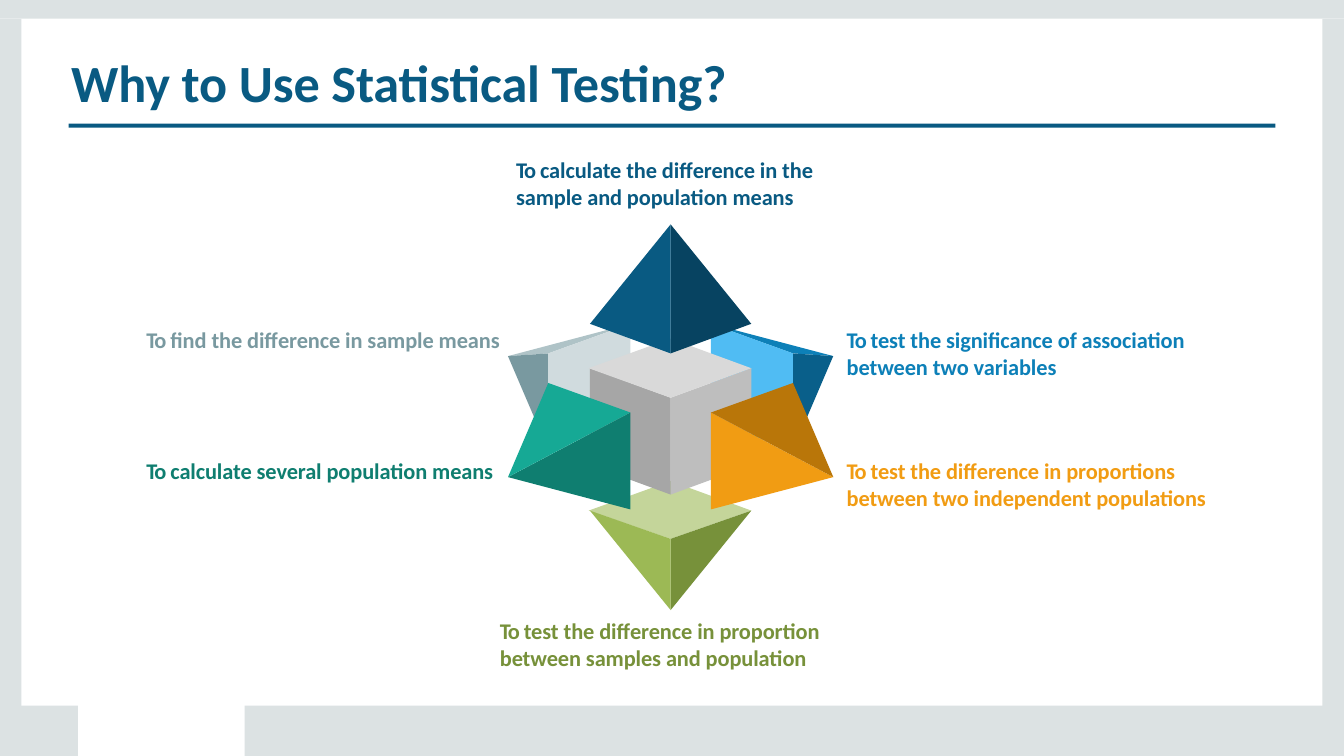
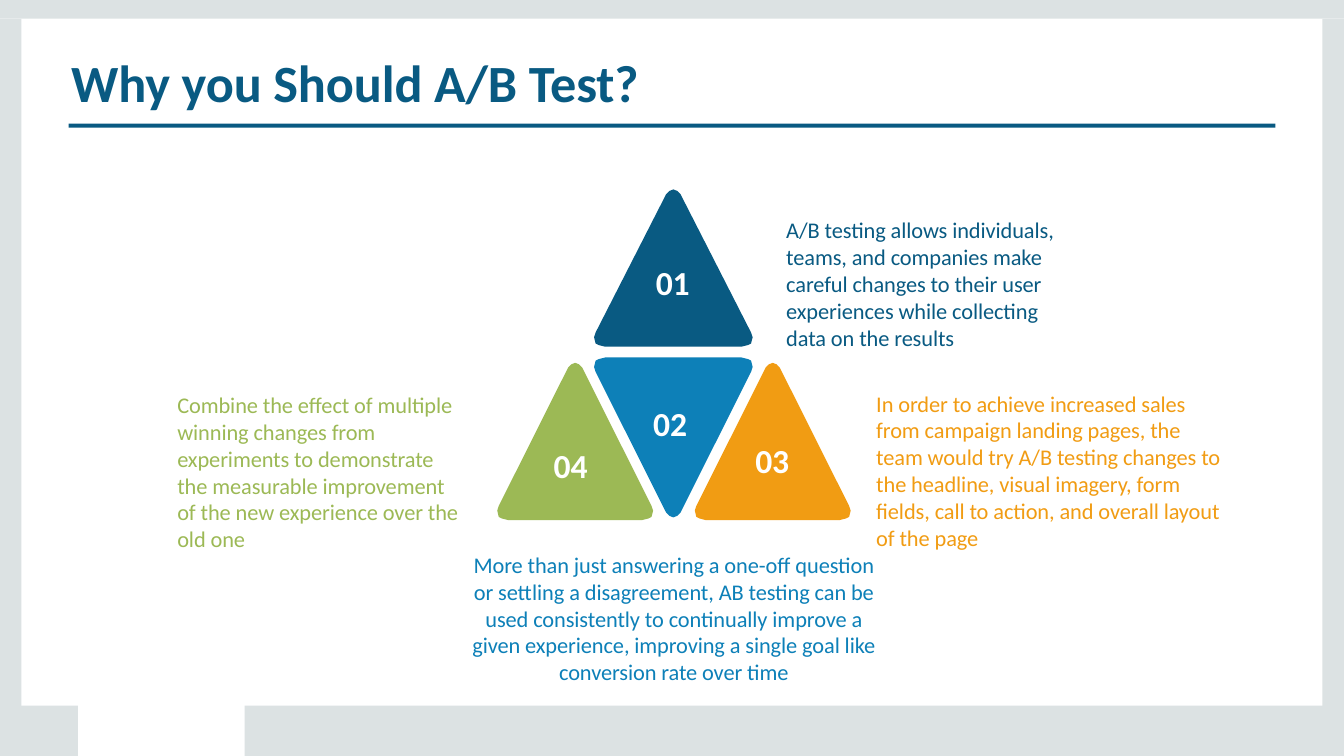
from typing import NamedTuple

from pptx import Presentation
from pptx.dml.color import RGBColor
from pptx.enum import shapes, text
from pptx.util import Inches, Pt

NAVY = RGBColor(0x09, 0x5A, 0x82)
DEEP_NAVY = RGBColor(0x07, 0x43, 0x61)
BLUE = RGBColor(0x0D, 0x80, 0xB8)
DARK_BLUE = RGBColor(0x09, 0x5F, 0x8A)
SKY = RGBColor(0x50, 0xBC, 0xF3)
SLATE = RGBColor(0x79, 0x99, 0xA0)
MID_SLATE = RGBColor(0xAF, 0xC3, 0xC7)
PALE_SLATE = RGBColor(0xD0, 0xDB, 0xDE)
GREEN = RGBColor(0x9C, 0xB9, 0x55)
DARK_GREEN = RGBColor(0x77, 0x91, 0x3A)
PALE_GREEN = RGBColor(0xC4, 0xD5, 0x9A)
TEAL = RGBColor(0x16, 0xA9, 0x95)
DARK_TEAL = RGBColor(0x0F, 0x7E, 0x70)
ORANGE = RGBColor(0xF1, 0x9C, 0x13)
DARK_ORANGE = RGBColor(0xB9, 0x76, 0x09)
LIGHT_GRAY = RGBColor(0xD9, 0xD9, 0xD9)
MID_GRAY = RGBColor(0xBE, 0xBE, 0xBE)
DARK_GRAY = RGBColor(0xA6, 0xA6, 0xA6)
FRAME_GRAY = RGBColor(0xDC, 0xE2, 0xE3)
WHITE = RGBColor(0xFF, 0xFF, 0xFF)

FONT = "Calibri"
SLIDE_WIDTH = Inches(10)
SLIDE_HEIGHT = SLIDE_WIDTH * 9 // 16
AXIS = 4.99  # vertical symmetry axis of the exploded cube
FRAME_FORMAT = {
    "margin_left": Inches(0.01), "margin_right": 0,
    "margin_top": Inches(0.02), "margin_bottom": 0,
    "word_wrap": True, "vertical_anchor": text.MSO_ANCHOR.TOP,
    "auto_size": text.MSO_AUTO_SIZE.SHAPE_TO_FIT_TEXT,
}
Points = list[tuple[float, float]]


class Band(NamedTuple):
    left: float
    top: float
    width: float
    height: float
    color: RGBColor


class Facet(NamedTuple):
    points: Points
    right_color: RGBColor
    left_color: RGBColor | None = None  # None: no mirrored twin


class Label(NamedTuple):
    left: float
    top: float
    width: float
    height: float
    color: RGBColor
    paragraphs: list[str]
    align: text.PP_ALIGN = text.PP_ALIGN.LEFT


class Triangle(NamedTuple):
    center: float
    top: float
    half_width: float
    height: float
    color: RGBColor
    number: str
    number_left: float
    number_top: float
    inverted: bool = False


BANDS = [
    Band(9.84, 0.14, 0.16, 5.12, FRAME_GRAY),
    Band(0, 0.14, 0.16, 5.12, FRAME_GRAY),
    Band(1.82, 5.25, 8.18, 0.38, FRAME_GRAY),
    Band(0, 5.25, 0.58, 0.38, FRAME_GRAY),
    Band(0, 0, 10, 0.14, FRAME_GRAY),
    Band(0.51, 0.92, 8.98, 0.03, NAVY),
]

# Right-hand facets, back to front
FACETS = [
    Facet([(5.29, 2.41), (5.9, 2.63), (6.2, 2.65)], BLUE, MID_SLATE),
    Facet([(5.9, 2.63), (5.9, 3.35), (6.2, 2.65)], DARK_BLUE, SLATE),
    Facet([(5.29, 2.41), (5.29, 3.13), (5.9, 3.35), (5.9, 2.63)], SKY, PALE_SLATE),
    Facet([(4.99, 3.58), (4.38, 3.8), (4.99, 4.01), (5.59, 3.8)], PALE_GREEN),
    Facet([(5.59, 3.8), (4.99, 4.01), (4.99, 4.54)], DARK_GREEN, GREEN),
    Facet([(5.59, 2.74), (4.99, 2.96), (4.99, 3.68), (5.59, 3.46)],
          MID_GRAY, DARK_GRAY),
    Facet([(4.99, 2.52), (4.38, 2.74), (4.99, 2.96), (5.59, 2.74)], LIGHT_GRAY),
    Facet([(4.99, 1.67), (4.99, 2.63), (5.59, 2.41)], DEEP_NAVY, NAVY),
    Facet([(5.29, 3.07), (5.29, 3.79), (6.2, 3.55)], ORANGE, DARK_TEAL),
    Facet([(5.9, 2.85), (5.29, 3.07), (6.2, 3.55)], DARK_ORANGE, TEAL),
]

REASONS = [
    Label(6.29, 2.41, 2.59, 0.43, BLUE,
          ["To test the significance of association between two variables"]),
    Label(6.29, 3.38, 2.74, 0.43, ORANGE,
          ["To test the difference in proportions between two independent populations"]),
    Label(1.08, 2.41, 2.7, 0.23, SLATE, ["To find the difference in sample means"]),
    Label(1.08, 3.38, 2.66, 0.23, DARK_TEAL,
          ["To calculate several population means"]),
    Label(3.71, 4.57, 2.46, 0.43, DARK_GREEN,
          ["To test the difference in proportion",
           "between samples and population"]),
    Label(3.83, 1.14, 2.28, 0.43, NAVY,
          ["To calculate the difference in the sample and population means"]),
]

# Right half of the rounded triangle, as fractions of half width and height
HALF_OUTLINE = [(0, 0), (0.05, 0.01), (0.09, 0.03), (0.98, 0.91),
                (1, 0.94), (0.98, 0.98), (0.94, 0.99), (0.86, 1)]

TRIANGLES = [
    Triangle(5.01, 1.41, 0.59, 1.17, NAVY, "01", 4.87, 1.93),
    Triangle(4.28, 2.7, 0.58, 1.17, GREEN, "04", 4.11, 3.29),
    Triangle(5.75, 2.7, 0.58, 1.17, ORANGE, "03", 5.61, 3.25),
    Triangle(5.01, 2.66, 0.59, 1.19, BLUE, "02", 4.85, 2.98, inverted=True),
]

BENEFITS = [
    Label(5.84, 1.59, 2.05, 1.03, NAVY,
          ["A/B testing allows individuals, teams, and companies make careful "
           "changes to their user experiences while collecting data on the results"]),
    Label(6.51, 2.88, 2.62, 1.23, ORANGE,
          ["In order to achieve increased sales from campaign landing pages, the "
           "team would try A/B testing changes to the headline, visual imagery, "
           "form fields, call to action, and overall layout of the page"]),
    Label(1.31, 2.89, 2.14, 1.23, GREEN,
          ["Combine the effect of multiple winning changes from experiments to "
           "demonstrate the measurable improvement of the new experience over "
           "the old one"]),
    Label(3.48, 4.08, 3.06, 1.03, BLUE,
          ["More than just answering a one-off question or settling a "
           "disagreement, AB testing can be used consistently to continually "
           "improve a given experience, improving a single goal like conversion "
           "rate over time"], text.PP_ALIGN.CENTER),
]


def apply(target, values: dict) -> None:
    for name, value in values.items():
        setattr(target, name, value)


def paint(sp, color: RGBColor) -> None:
    sp.shadow.inherit = False
    sp.fill.solid()
    sp.fill.fore_color.rgb = color
    sp.line.fill.background()


def add_run(p, words: str, size: float, color: RGBColor, bold: bool,
            spacing: int = -5) -> None:
    r = p.add_run()
    r.text = words
    apply(r.font, {"name": FONT, "size": Pt(size), "bold": bold})
    r.font.color.rgb = color
    r._r.get_or_add_rPr().set("spc", str(spacing))


def add_label(slide, label: Label, size: float = 12, bold: bool = False) -> None:
    box = slide.shapes.add_textbox(*(Inches(v) for v in label[:4]))
    tf = box.text_frame
    apply(tf, FRAME_FORMAT)
    for i, words in enumerate(label.paragraphs):
        p = tf.add_paragraph() if i else tf.paragraphs[0]
        p.alignment = label.align
        if words.startswith("To "):  # tighter kerning after the capital T
            add_run(p, "To ", size, label.color, bold, -60)
            words = words[3:]
        add_run(p, words, size, label.color, bold)


def add_polygon(slide, points: Points, color: RGBColor) -> None:
    corners = [(Inches(x), Inches(y)) for x, y in points]
    builder = slide.shapes.build_freeform(*corners[0])
    builder.add_line_segments(corners[1:], close=True)
    paint(builder.convert_to_shape(), color)


def add_facet(slide, facet: Facet) -> None:
    add_polygon(slide, facet.points, facet.right_color)
    if facet.left_color is not None:
        mirrored = [(2 * AXIS - x, y) for x, y in facet.points]
        add_polygon(slide, mirrored, facet.left_color)


def add_triangle(slide, tri: Triangle) -> None:
    half = [(x * tri.half_width, (1 - y if tri.inverted else y) * tri.height)
            for x, y in HALF_OUTLINE]
    outline = half + [(-x, y) for x, y in reversed(half[1:])]
    add_polygon(slide, [(tri.center + x, tri.top + y) for x, y in outline], tri.color)


def add_frame(slide, layout) -> None:
    """Draw the bands once and hand them to the shared layout."""
    tree = layout.shapes.element
    for position, band in enumerate(BANDS, start=2):
        sp = slide.shapes.add_shape(shapes.MSO_SHAPE.RECTANGLE,
                                    *(Inches(v) for v in band[:4]))
        paint(sp, band.color)
        tree.insert(position, sp.element)


def add_slide(prs, layout, heading: str, width: float):
    slide = prs.slides.add_slide(layout)
    title = slide.shapes.title
    apply(title, {"left": Inches(0.52), "top": Inches(0.35),
                  "width": Inches(width), "height": Inches(0.49)})
    tf = title.text_frame
    apply(tf, FRAME_FORMAT)
    p = tf.paragraphs[0]
    apply(p, {"alignment": text.PP_ALIGN.LEFT, "space_before": Pt(0)})
    add_run(p, heading, 28, NAVY, True)
    return slide


def main() -> None:
    prs = Presentation()
    apply(prs, {"slide_width": SLIDE_WIDTH, "slide_height": SLIDE_HEIGHT})
    layout = prs.slide_layouts[5]

    # Slide 1: exploded cube with six reasons
    slide = add_slide(prs, layout, "Why to Use Statistical Testing?", 5)
    add_frame(slide, layout)
    for facet in FACETS:
        add_facet(slide, facet)
    for reason in REASONS:
        add_label(slide, reason, bold=True)

    # Slide 2: numbered triangles with four benefits
    slide = add_slide(prs, layout, "Why you Should A/B Test?", 4.32)
    for tri in TRIANGLES:
        add_triangle(slide, tri)
    for tri in TRIANGLES:
        number = Label(tri.number_left, tri.number_top, 0.28, 0.33, WHITE, [tri.number])
        add_label(slide, number, size=18, bold=True)
    for benefit in BENEFITS:
        add_label(slide, benefit)

    prs.save("out.pptx")


if __name__ == "__main__":
    main()
